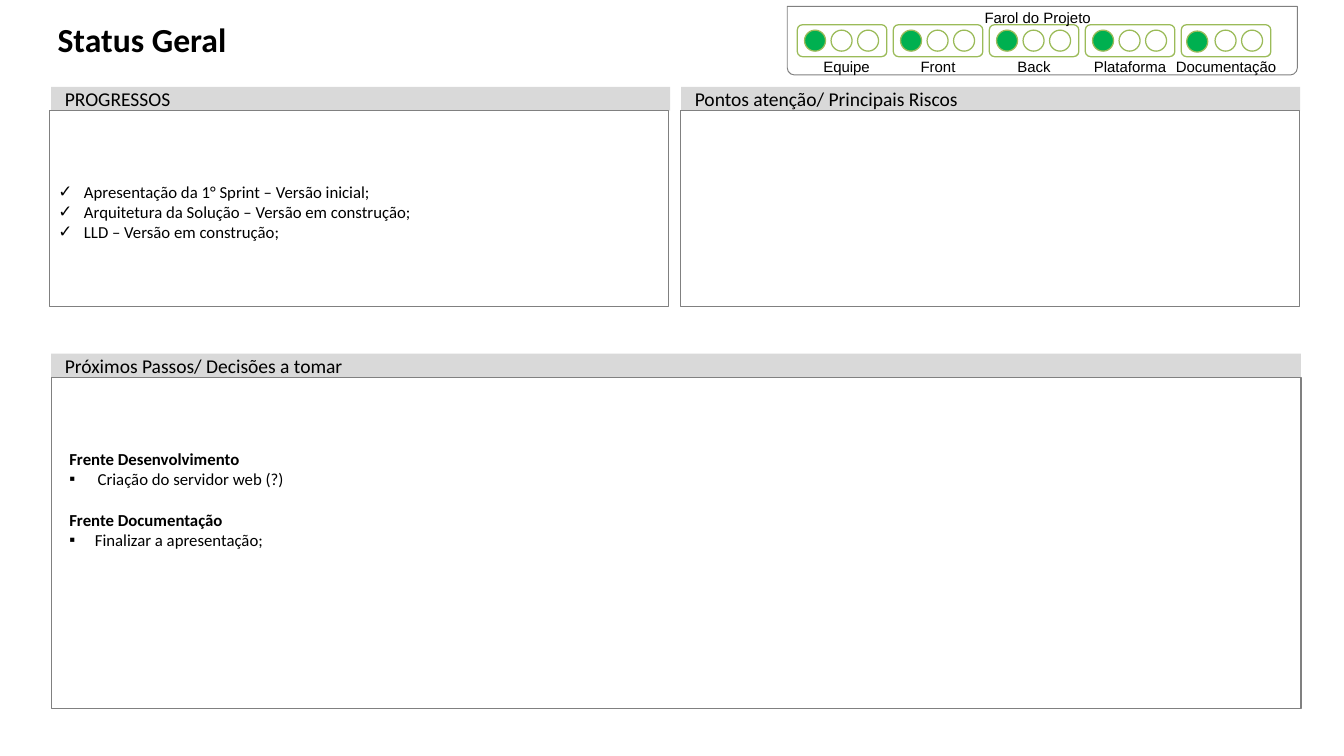
"""Build the project status slide with its traffic lights and report panels."""
from dataclasses import dataclass

from lxml.etree import SubElement
from pptx import Presentation
from pptx.dml.color import RGBColor
from pptx.enum.shapes import MSO_SHAPE as Shape
from pptx.enum.text import MSO_ANCHOR as Anchor, PP_ALIGN as Align
from pptx.oxml.ns import qn
from pptx.util import Inches, Pt

TITLE = "Status Geral"
LIGHTS_TITLE = "Farol do Projeto"
LIGHTS = [
    {"name": "Equipe", "label_shift": 0.05},
    {"name": "Front"},
    {"name": "Back"},
    {"name": "Plataforma"},
    {"name": "Documentação", "lit_shift": (-0.02, 0.01)},
]
PANELS = [
    {"heading": "PROGRESSOS", "column": "left", "row": "top", "shift": -0.02},
    {"heading": "Pontos atenção/ Principais Riscos", "column": "right", "row": "top", "shift": -0.01},
    {"heading": "Próximos Passos/ Decisões a tomar", "column": "full", "row": "bottom", "shift": 0},
]
PROGRESS = [
    "Apresentação da 1° Sprint – Versão inicial;",
    "Arquitetura da Solução – Versão em construção;",
    "LLD – Versão em construção;",
]
NEXT_STEPS = [
    ("Frente Desenvolvimento", "Criação do servidor web (?)", 0.31),
    ("Frente Documentação", "Finalizar a apresentação;", 0.28),
]

SLIDE = (14.7, 8.27)
COLUMNS = {"left": (0.56, 6.77), "right": (7.45, 6.77), "full": (0.56, 13.67)}
ROWS = {"top": (0.95, 2.14), "bottom": (3.87, 3.62)}
HEADING_HEIGHT = 0.26
LIGHT_LEFT, LIGHT_PITCH, LIGHT_TOP = 8.72, 1.05, 0.27
LIGHT_SIZE = (0.98, 0.35)
LAMP_INSET, LAMP_PITCH, LAMP_SIZE = (0.08, 0.06), 0.29, 0.23
LABEL_TOP, LABEL_SIZE = 0.63, (1.5, 0.2)
LIGHTS_TITLE_CENTER, LIGHTS_TITLE_TOP = 11.35, 0.09


@dataclass(frozen=True)
class Theme:
    text: str = "000000"
    band: str = "D9D9D9"
    border: str = "808080"
    light: str = "9BBB59"
    lit: str = "00B050"
    paper: str = "FFFFFF"
    body_font: str = "Calibri"
    label_font: str = "Arial"
    title_size: float = 26.5
    heading_size: float = 15.4
    body_size: float = 13.2
    label_size: float = 11.8


THEME = Theme()


def add_box(page, kind, area, fill=None, line=None, weight=1):
    box = page.shapes.add_shape(kind, *map(Inches, area))
    box.shadow.inherit = False
    if fill:
        box.fill.solid()
        box.fill.fore_color.rgb = RGBColor.from_string(fill)
    else:
        box.fill.background()
    if line:
        box.line.color.rgb = RGBColor.from_string(line)
        box.line.width = Pt(weight)
    else:
        box.line.fill.background()
    return box


def set_frame(box, insets, anchor=Anchor.MIDDLE):
    frame = box.text_frame
    frame.word_wrap, frame.vertical_anchor = True, anchor
    frame.margin_left, frame.margin_top, frame.margin_right, frame.margin_bottom = map(Inches, insets)
    return frame


def write(frame, text, size=THEME.body_size, font=THEME.body_font, bold=False,
          align=Align.LEFT, before=0, bullet=None, indent=0):
    para = frame.paragraphs[0]
    if para.runs:
        para = frame.add_paragraph()
    para.alignment = align
    para.space_before = Pt(before)
    if bullet:
        props = para._p.get_or_add_pPr()
        props.set("marL", str(Inches(indent)))
        props.set("indent", str(-Inches(indent)))
        SubElement(props, qn("a:buFont")).set("typeface", THEME.label_font)
        SubElement(props, qn("a:buChar")).set("char", bullet)
    span = para.add_run()
    span.text = text
    span.font.size, span.font.name, span.font.bold = Pt(size), font, bold
    span.font.color.rgb = RGBColor.from_string(THEME.text)


def add_title(page):
    title = page.shapes.title
    title.left, title.top, title.width, title.height = map(Inches, (0.51, 0.21, 13.23, 0.88))
    frame = set_frame(title, (0.12, 0, 0.12, 0), Anchor.TOP)
    write(frame, TITLE, size=THEME.title_size, bold=True)


def add_label(page, text, center, top):
    width, height = LABEL_SIZE
    box = page.shapes.add_textbox(*map(Inches, (center - width / 2, top, width, height)))
    frame = set_frame(box, (0.06, 0.06, 0.06, 0), Anchor.BOTTOM)
    write(frame, text, size=THEME.label_size, font=THEME.label_font, align=Align.CENTER)


def add_lights(page):
    holder = add_box(page, Shape.ROUND_2_SAME_RECTANGLE, (8.61, 0.07, 5.58, 0.75),
                     line=THEME.border, weight=0.75)
    holder.rotation = 180
    holder.adjustments[0], holder.adjustments[1] = 0.106, 0
    for index, light in enumerate(LIGHTS):
        left = LIGHT_LEFT + index * LIGHT_PITCH
        add_box(page, Shape.ROUNDED_RECTANGLE, (left, LIGHT_TOP, *LIGHT_SIZE),
                fill=THEME.paper, line=THEME.light)
        for lamp in range(3):
            across, down = light.get("lit_shift", (0, 0)) if lamp == 0 else (0, 0)
            area = (left + LAMP_INSET[0] + lamp * LAMP_PITCH + across,
                    LIGHT_TOP + LAMP_INSET[1] + down, LAMP_SIZE, LAMP_SIZE)
            add_box(page, Shape.OVAL, area, line=THEME.light,
                    fill=THEME.lit if lamp == 0 else THEME.paper)
        center = left + LIGHT_SIZE[0] / 2 + light.get("label_shift", 0)
        add_label(page, light["name"], center, LABEL_TOP)
    add_label(page, LIGHTS_TITLE, LIGHTS_TITLE_CENTER, LIGHTS_TITLE_TOP)


def add_panel(page, heading, column, row, shift):
    left, width = COLUMNS[column]
    top, height = ROWS[row]
    band = add_box(page, Shape.RECTANGLE, (left, top, width, HEADING_HEIGHT), fill=THEME.band)
    write(set_frame(band, (0.15, 0.07, 0.15, 0.07)), heading, size=THEME.heading_size)
    area = (left + shift, top + HEADING_HEIGHT, width, height)
    return add_box(page, Shape.RECTANGLE, area, line=THEME.border)


def add_next_steps(page):
    box = page.shapes.add_textbox(*map(Inches, (0.66, 4.86, 2.8, 1.44)))
    frame = set_frame(box, (0.1, 0.05, 0.1, 0.05), Anchor.TOP)
    for index, (front, step, indent) in enumerate(NEXT_STEPS):
        write(frame, front, bold=True, before=16.1 if index else 0)
        write(frame, step, bullet="▪", indent=indent)


def main():
    deck = Presentation()
    deck.slide_width, deck.slide_height = map(Inches, SLIDE)
    page = deck.slides.add_slide(deck.slide_layouts[5])
    add_title(page)
    add_lights(page)
    progress, *_ = [add_panel(page, **panel) for panel in PANELS]
    frame = set_frame(progress, (0.1, 0.12, 0.1, 0.05))
    for item in PROGRESS:
        write(frame, item, bullet="✓", indent=0.28)
    add_next_steps(page)
    deck.save("out.pptx")


if __name__ == "__main__":
    main()
